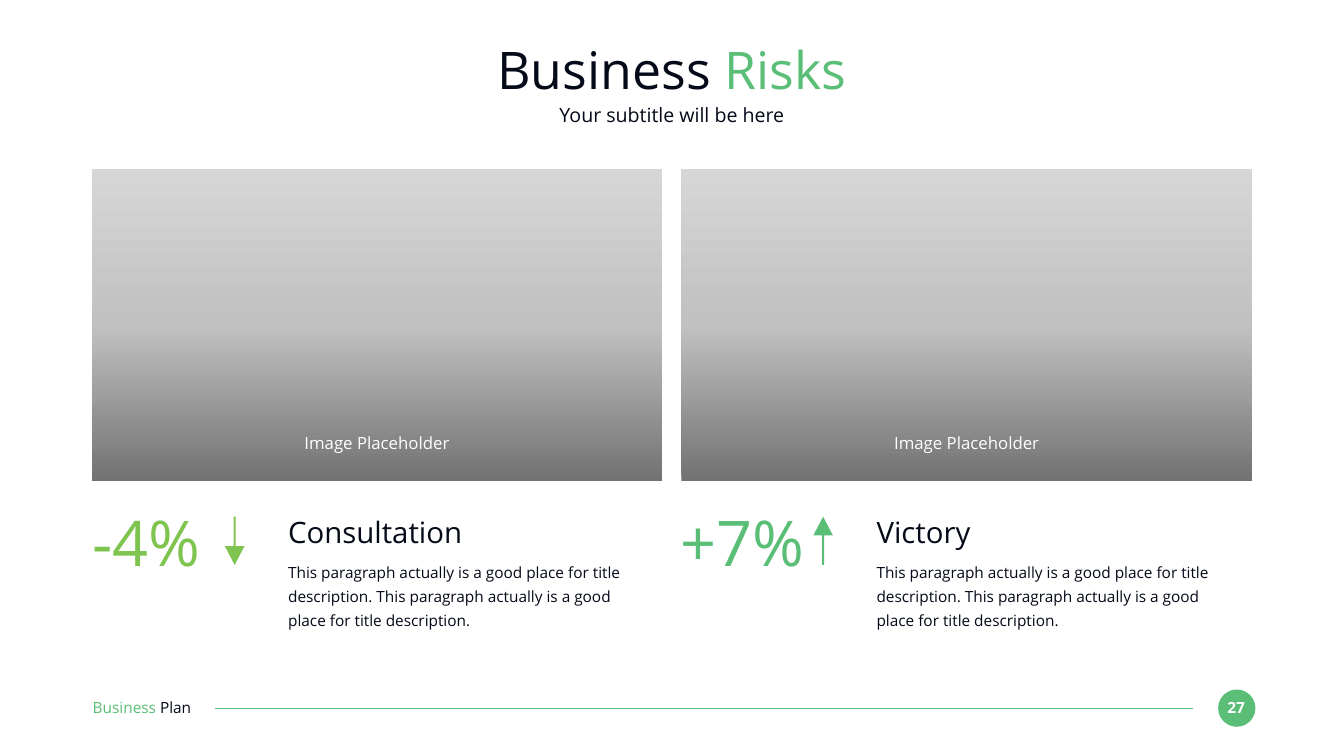
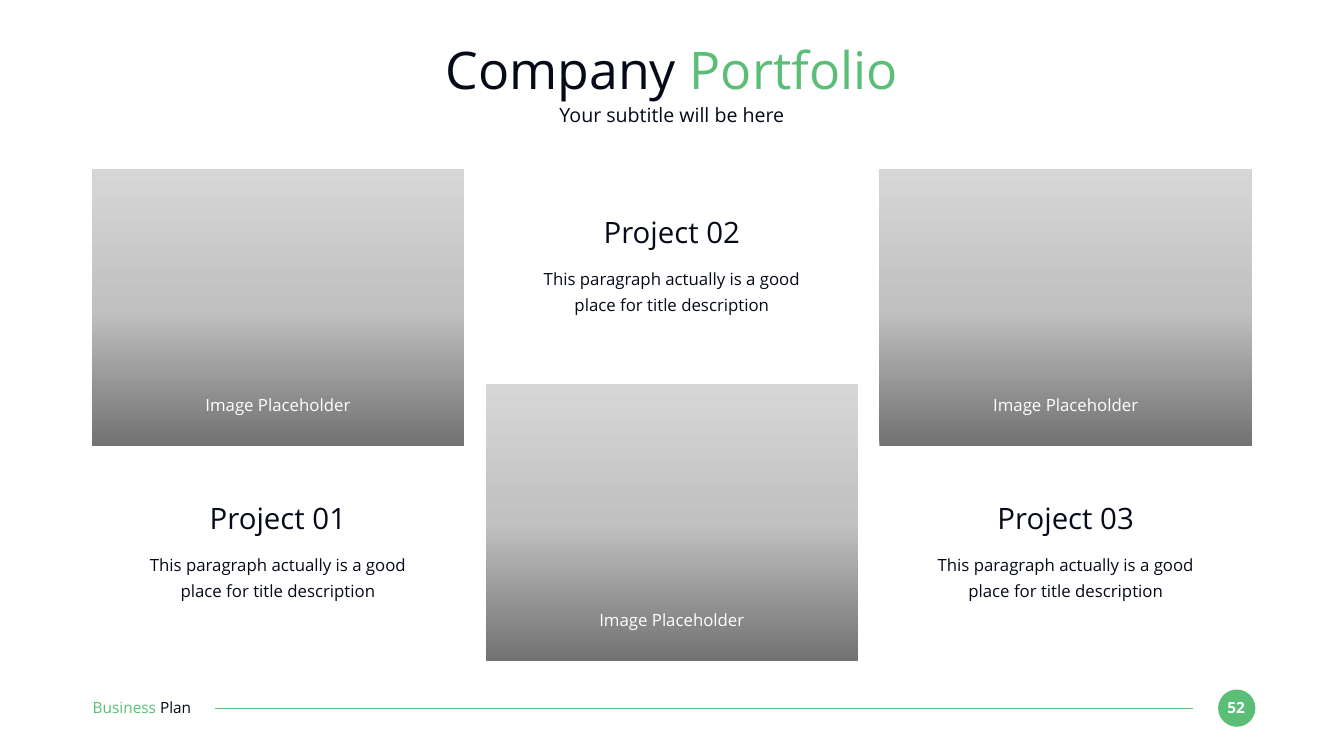
"""Build two business plan slides: risks and company portfolio."""
import copy

import pptx
import pptx.util
import pptx.dml.color
import pptx.enum.shapes
import pptx.enum.text
import pptx.oxml.ns
import pptx.oxml.xmlchemy

Pt = pptx.util.Pt
ALIGN = pptx.enum.text.PP_ALIGN
ANCHOR = pptx.enum.text.MSO_ANCHOR
SHAPE = pptx.enum.shapes.MSO_SHAPE

COLORS = {
    "ink": "050A19",
    "green": "5ABE76",
    "lime": "7FC44F",
    "white": "FFFFFF",
}
TILE_STOPS = [(0, "727272"), (0.5, "C1C1C1"), (1, "D6D6D6")]
FONT = "Open Sans"
LEFT = 131
TILE_TOP = 242


def rgb(name):
    return pptx.dml.color.RGBColor.from_string(COLORS.get(name, name))


def write_text(box, spans, size, align=ALIGN.CENTER, anchor=ANCHOR.MIDDLE, spacing=None, bold=False):
    frame = box.text_frame
    layout = {
        "margin_left": 0, "margin_top": 0, "margin_right": 0, "margin_bottom": 0,
        "word_wrap": True, "auto_size": pptx.enum.text.MSO_AUTO_SIZE.NONE,
        "vertical_anchor": anchor,
    }
    for name, value in layout.items():
        setattr(frame, name, value)
    para = frame.paragraphs[0]
    para.alignment = align
    para.line_spacing = spacing
    for text, color in spans:
        span = para.add_run()
        span.text = text
        for name, value in {"name": FONT, "size": Pt(size), "bold": bold}.items():
            setattr(span.font, name, value)
        span.font.color.rgb = rgb(color)


def add_text(page, left, top, width, height, spans, size, **style):
    box = page.shapes.add_textbox(Pt(left), Pt(top), Pt(width), Pt(height))
    write_text(box, spans, size, **style)


def add_plain_shape(page, kind, left, top, width, height, color=None):
    shape = page.shapes.add_shape(kind, Pt(left), Pt(top), Pt(width), Pt(height))
    shape.shadow.inherit = False
    shape.line.fill.background()
    if color:
        shape.fill.solid()
        shape.fill.fore_color.rgb = rgb(color)
    return shape


def add_image_tile(page, left, top, width, height, caption_width, caption_rise):
    tile = add_plain_shape(page, SHAPE.RECTANGLE, left, top, width, height)
    tile.fill.gradient()
    tile.fill.gradient_angle = 90
    stop_list = tile._element.spPr.find(".//" + pptx.oxml.ns.qn("a:gsLst"))
    stop_list.append(copy.deepcopy(stop_list[0]))
    for stop, (position, color) in zip(tile.fill.gradient_stops, TILE_STOPS):
        stop.position = position
        stop.color.rgb = rgb(color)
    add_text(page, left + (width - caption_width) / 2, top + height - caption_rise,
             caption_width, 28.8, [("Image Placeholder", "white")], 24)


def add_footer(page, number):
    add_plain_shape(page, SHAPE.OVAL, 1740.2, 985, 53.3, 53.3, "green")
    add_text(page, 1744.6, 997.2, 42.5, 26.6, [(number, "white")], 22, bold=True)
    rule = page.shapes.add_connector(
        pptx.enum.shapes.MSO_CONNECTOR.STRAIGHT, Pt(307.4), Pt(1011.6), Pt(1704.2), Pt(1011.6))
    rule.line.color.rgb = rgb("green")
    rule.line.width = Pt(1.5)
    rule._element.spPr.append(pptx.oxml.xmlchemy.OxmlElement("a:effectLst"))
    add_text(page, 132.5, 996.5, 186.5, 26.6,
             [("Business ", "green"), ("Plan", "ink")], 22, align=ALIGN.LEFT)


def add_page(deck, first_word, second_word, number):
    page = deck.slides.add_slide(deck.slide_layouts[5])
    add_footer(page, number)
    title = page.shapes.title
    frame = {"left": 131.8, "top": 52.6, "width": 1656, "height": 91.4}
    for name, value in frame.items():
        setattr(title, name, Pt(value))
    write_text(title, [(first_word + " ", "ink"), (second_word, "green")], 74)
    add_text(page, 131.8, 146.2, 1656, 35.3, [("Your subtitle will be here", "ink")], 28)
    return page


def add_note(page, left, top, width, body_gap, body_height, heading, body, size, align):
    add_text(page, left, top, width, 51.1, [(heading, "ink")], 42, align=align)
    add_text(page, left, top + body_gap, width, body_height, [(body, "ink")], size,
             align=align, anchor=ANCHOR.TOP, spacing=1.3)


def add_risk(page, left, figure, color, rotation, heading):
    sentence = "This paragraph actually is a good place for title description."
    add_text(page, left, 718.6, 183.6, 108.7, [(figure, color)], 90, align=ALIGN.LEFT)
    arrow = add_plain_shape(page, SHAPE.DOWN_ARROW, left + 189.4, 738, 28.1, 69.1, color)
    arrow.adjustments[0] = 0.11
    arrow.adjustments[1] = 0.96
    arrow.rotation = rotation
    add_note(page, left + 279.8, 733.7, 498.2, 63.3, 100.8, heading,
             f"{sentence} {sentence}", 22, ALIGN.LEFT)


def build_risks(deck):
    page = add_page(deck, "Business", "Risks", "27")
    risks = [("-4%", "lime", 0, "Consultation"), ("+7%", "green", 180, "Victory")]
    for column, risk in enumerate(risks):
        add_risk(page, 131.8 + 840.6 * column, *risk)
        add_image_tile(page, LEFT + 842.4 * column, TILE_TOP, 815, 445, 507, 68.4)


def build_portfolio(deck):
    page = add_page(deck, "Company", "Portfolio", "52")
    tile_width, note_width = 532, 428.4
    rows = [(TILE_TOP, 714.2), (548.6, 305.3), (TILE_TOP, 714.2)]
    for column, (tile_top, note_top) in enumerate(rows):
        left = LEFT + 562.7 * column
        add_image_tile(page, left, tile_top, tile_width, 395.3, 411, 73.4)
        add_note(page, left + (tile_width - note_width) / 2, note_top, note_width, 69.8, 72.7,
                 f"Project 0{column + 1}",
                 "This paragraph actually is a good place for title description",
                 24, ALIGN.CENTER)


def main():
    deck = pptx.Presentation()
    deck.slide_width = Pt(1920)
    deck.slide_height = Pt(1080)
    build_risks(deck)
    build_portfolio(deck)
    deck.save("out.pptx")


if __name__ == "__main__":
    main()
